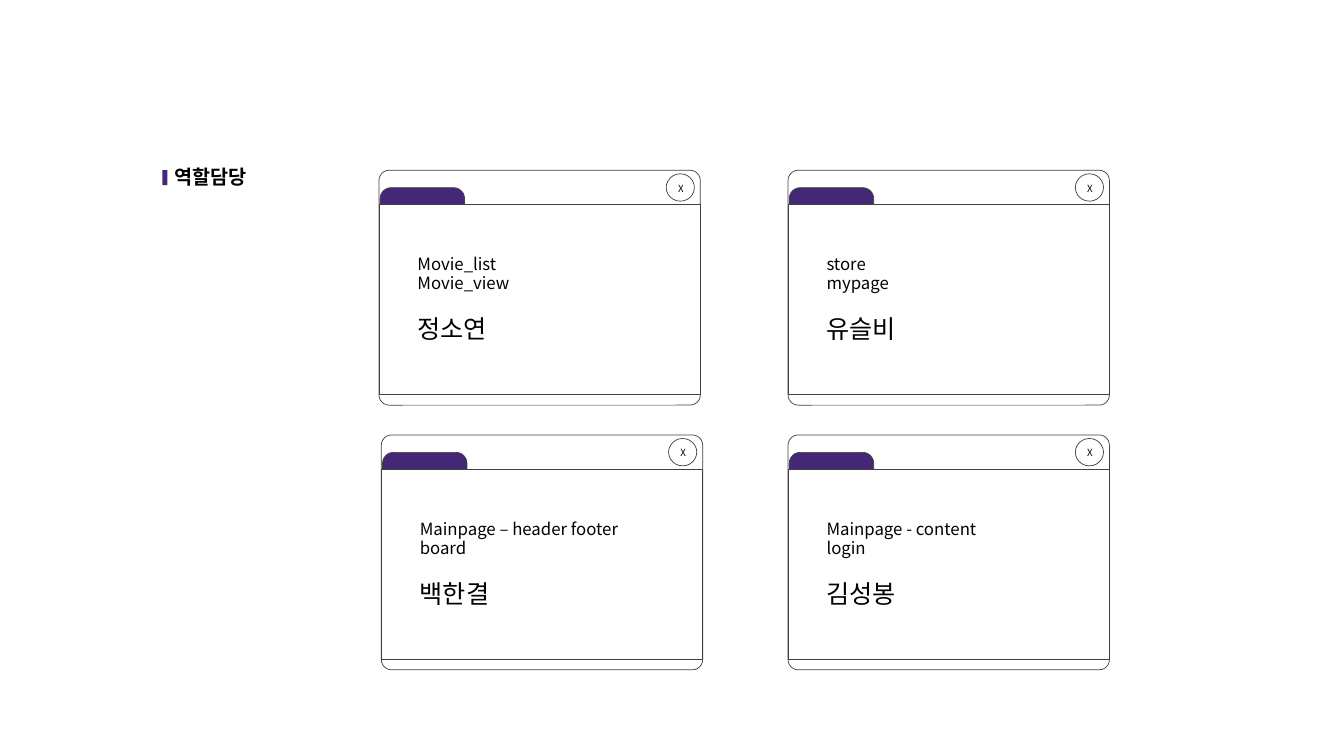
from dataclasses import dataclass

from lxml import etree
from pptx import Presentation
from pptx.dml.color import RGBColor
from pptx.enum.shapes import MSO_SHAPE
from pptx.enum.text import MSO_ANCHOR, PP_ALIGN
from pptx.oxml.ns import qn
from pptx.util import Cm, Pt

RECTANGLE = MSO_SHAPE.RECTANGLE
ROUNDED = MSO_SHAPE.ROUNDED_RECTANGLE
OVAL = MSO_SHAPE.OVAL
TOP = MSO_ANCHOR.TOP
LEFT = PP_ALIGN.LEFT
TITLE_ONLY = 5


@dataclass(frozen=True)
class Theme:
    font: str = "Noto Sans CJK KR"
    text: RGBColor = RGBColor(0, 0, 0)
    paper: RGBColor = RGBColor(255, 255, 255)
    accent: RGBColor = RGBColor(0x44, 0x27, 0x77)
    outline: RGBColor = RGBColor(0x40, 0x40, 0x40)
    outline_width: float = 0.5
    heading_size: int = 14
    name_size: int = 18
    task_size: int = 12
    button_size: int = 7


THEME = Theme()
CARD_WIDTH, CARD_HEIGHT = 8.1, 5.92
TASK_PITCH = 0.48
CARDS = [
    (9.55, 4.29, ["Movie_list", "Movie_view"], "정소연"),
    (19.86, 4.29, ["store", "mypage"], "유슬비"),
    (9.61, 10.96, ["Mainpage – header footer", "board"], "백한결"),
    (19.86, 10.96, ["Mainpage - content", "login"], "김성봉"),
]


def write_text(shape, text, size, bold=False, wrap=True):
    frame = shape.text_frame
    frame.word_wrap = wrap
    frame.vertical_anchor = TOP
    paragraph = frame.paragraphs[0]
    paragraph.alignment = LEFT
    run = paragraph.add_run()
    run.text = text
    font = run.font
    font.name = THEME.font
    font.size = Pt(size)
    font.bold = bold
    font.color.rgb = THEME.text
    east_asian = etree.SubElement(font._element, qn("a:ea"))
    east_asian.set("typeface", THEME.font)


def add_text(shapes, left, top, width, height, text, **text_format):
    box = shapes.add_textbox(Cm(left), Cm(top), Cm(width), Cm(height))
    write_text(box, text, **text_format)


def add_box(shapes, kind, left, top, width, height, fill=None, outlined=True, rounding=None):
    shape = shapes.add_shape(kind, Cm(left), Cm(top), Cm(width), Cm(height))
    shape.shadow.inherit = False
    if rounding is not None:
        shape.adjustments[0] = rounding
    if fill is None:
        shape.fill.background()
    else:
        shape.fill.solid()
        shape.fill.fore_color.rgb = fill
    if outlined:
        shape.line.color.rgb = THEME.outline
        shape.line.width = Pt(THEME.outline_width)
    else:
        shape.line.fill.background()


def add_heading(slide, left, top, text):
    title = slide.shapes.title
    title.left, title.top = Cm(left + 0.05), Cm(top - 0.25)
    title.width, title.height = Cm(2.41), Cm(0.86)
    write_text(title, text, size=THEME.heading_size, bold=True, wrap=False)
    add_box(slide.shapes, RECTANGLE, left, top, 0.13, 0.38, fill=THEME.accent, outlined=False)


def add_window(slide, left, top, width, height):
    shapes = slide.shapes.add_group_shape().shapes
    button_left = left + width - 0.86
    add_box(shapes, ROUNDED, left, top, width, height, fill=THEME.paper, rounding=0.044)
    add_box(shapes, ROUNDED, left + 0.03, top + 0.44, 2.13, 1.88, fill=THEME.accent, rounding=0.147)
    add_text(shapes, button_left + 0.05, top + 0.18, 0.71, 0.64, "X", size=THEME.button_size)
    add_box(shapes, OVAL, button_left, top + 0.09, 0.71, 0.69)
    add_box(shapes, RECTANGLE, left, top + 0.86, width, height - 1.12, fill=THEME.paper)


def add_card(slide, left, top, width, height, tasks, name):
    add_window(slide, left, top, width, height)
    text_left = left + 0.72
    for index, task in enumerate(tasks):
        task_top = top + 1.98 + index * TASK_PITCH
        add_text(slide.shapes, text_left, task_top, 6.07, 0.76, task, size=THEME.task_size)
    add_text(slide.shapes, text_left, top + 3.49, 2.44, 1.02, name, size=THEME.name_size, wrap=False)


def main():
    presentation = Presentation()
    presentation.slide_width, presentation.slide_height = Cm(33.87), Cm(19.05)
    slide = presentation.slides.add_slide(presentation.slide_layouts[TITLE_ONLY])
    add_heading(slide, 4.09, 4.29, "역할담당")
    for left, top, tasks, name in CARDS:
        add_card(slide, left, top, CARD_WIDTH, CARD_HEIGHT, tasks, name)
    presentation.save("out.pptx")


if __name__ == "__main__":
    main()
